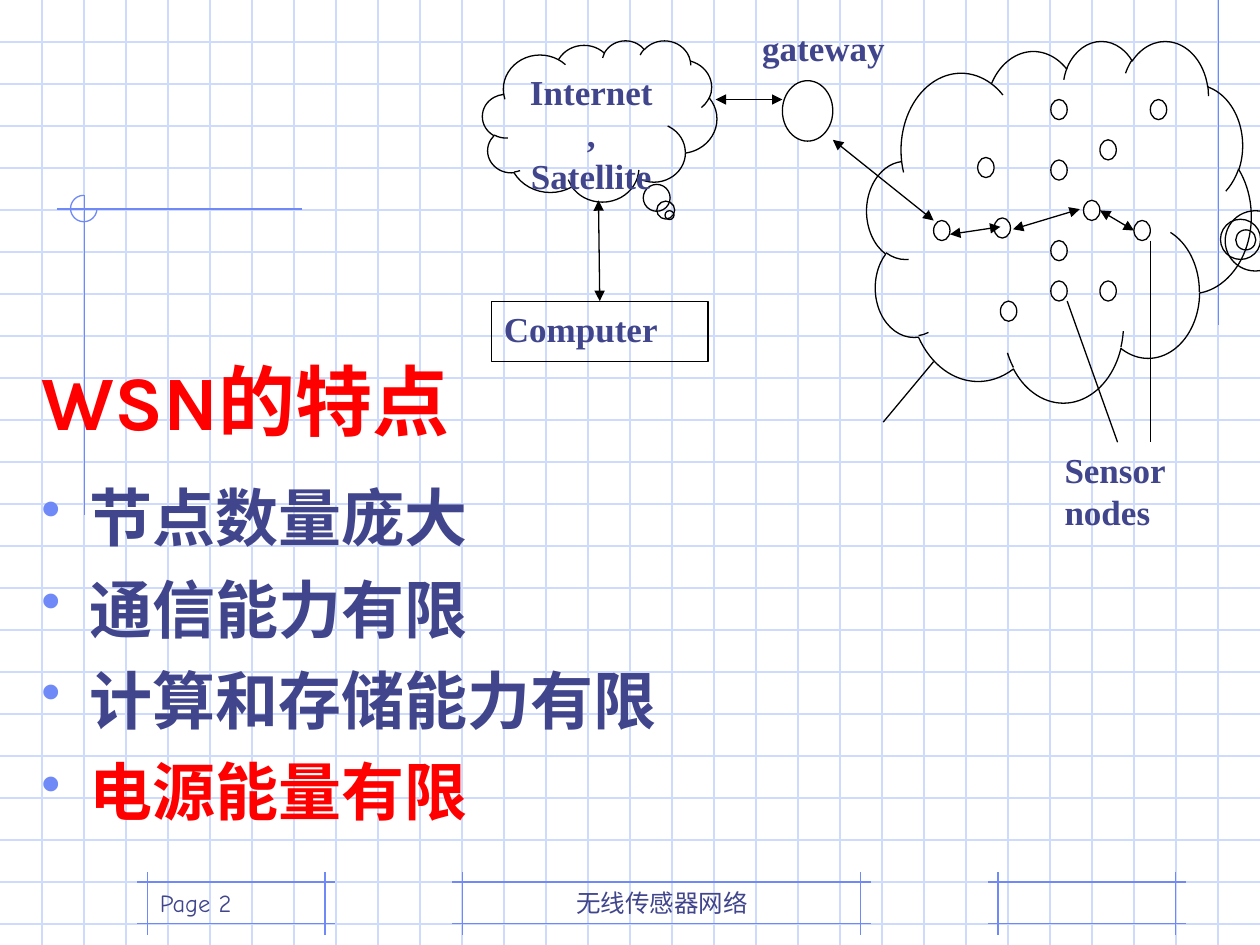
from dataclasses import dataclass

from lxml import etree
from pptx import Presentation
from pptx.dml.color import RGBColor
from pptx.enum.shapes import MSO_CONNECTOR, MSO_SHAPE
from pptx.enum.text import MSO_ANCHOR, MSO_AUTO_SIZE, PP_ALIGN
from pptx.oxml.ns import qn
from pptx.util import Inches, Pt

LINE = MSO_CONNECTOR.STRAIGHT
OVAL, RECT = MSO_SHAPE.OVAL, MSO_SHAPE.RECTANGLE
CLOUD, ARC = MSO_SHAPE.CLOUD_CALLOUT, MSO_SHAPE.ARC
TOP, BASE = MSO_ANCHOR.TOP, MSO_ANCHOR.BOTTOM
LEFT, MID, EVEN = PP_ALIGN.LEFT, PP_ALIGN.CENTER, PP_ALIGN.JUSTIFY
HEX = {"grid": "CFDBFD", "blue": "6F89F7", "ink": "40458C",
       "red": "FF0000", "black": "000000", "white": "FFFFFF"}


@dataclass
class Box:
    x: float
    y: float
    w: float
    h: float

    def lengths(self):
        return [Inches(v) for v in (self.x, self.y, self.w, self.h)]


@dataclass
class Style:
    face: str
    size: float
    color: str = "ink"
    bold: bool = True
    align: PP_ALIGN = LEFT


@dataclass
class Link:
    x1: float
    y1: float
    x2: float
    y2: float
    arrow: bool = False
    color: str = "black"


def tint(name: str) -> RGBColor:
    return RGBColor.from_string(HEX[name])


def draw_link(shapes, link: Link):
    ends = [Inches(v) for v in (link.x1, link.y1, link.x2, link.y2)]
    line = shapes.add_connector(LINE, *ends)
    line.line.color.rgb = tint(link.color)
    line.line.width = Pt(0.75)
    if link.arrow:
        pen = line.line._get_or_add_ln()
        for tag in ("a:headEnd", "a:tailEnd"):
            etree.SubElement(pen, qn(tag), type="triangle")
    etree.SubElement(line.element.spPr, qn("a:effectLst"))
    return line


def draw_shape(shapes, kind, box: Box, fill: str = "", color: str = "black"):
    shape = shapes.add_shape(kind, *box.lengths())
    shape.shadow.inherit = False
    if fill:
        shape.fill.solid()
        shape.fill.fore_color.rgb = tint(fill)
    else:
        shape.fill.background()
    shape.line.color.rgb = tint(color)
    shape.line.width = Pt(0.75)
    return shape


def set_font(para, style: Style):
    para.alignment = style.align
    font = para.font
    font.name, font.size, font.bold = style.face, Pt(style.size), style.bold
    font.color.rgb = tint(style.color)


def put_text(shape, text: str, style: Style, anchor=TOP):
    frame = shape.text_frame
    frame.word_wrap = True
    frame.auto_size = MSO_AUTO_SIZE.NONE
    frame.vertical_anchor = anchor
    frame.text = text
    set_font(frame.paragraphs[0], style)


def draw_text(shapes, box: Box, text: str, style: Style, anchor=TOP):
    put_text(shapes.add_textbox(*box.lengths()), text, style, anchor)


def add_bullet(para):
    props = para._p.get_or_add_pPr()
    props.set("marL", str(Inches(0.38)))
    props.set("indent", str(Inches(-0.38)))
    color = etree.SubElement(props, qn("a:buClr"))
    etree.SubElement(color, qn("a:srgbClr"), val=HEX["blue"])
    etree.SubElement(props, qn("a:buSzPct"), val="90000")
    etree.SubElement(props, qn("a:buChar"), char="•")


def draw_list(shapes, box: Box, items):
    frame = shapes.add_textbox(*box.lengths()).text_frame
    frame.word_wrap = True
    for i, (text, color) in enumerate(items):
        para = frame.add_paragraph() if i else frame.paragraphs[0]
        para.text = text
        if i:
            para.space_before = Pt(9)
        add_bullet(para)
        set_font(para, Style("Karla", 36, color))


def draw_back(shapes):
    for i in range(1, 23):
        draw_link(shapes, Link(0, i / 3, 10, i / 3, color="grid"))
    for i in range(1, 30):
        draw_link(shapes, Link(i / 3, 0, i / 3, 7.5, color="grid"))
    for left, right in ((3.67, 6.83), (7.92, 9.33), (1.17, 2.58)):
        for y in (7, 7.33):
            draw_link(shapes, Link(left - 0.08, y, right + 0.08, y, color="blue"))
        for x in (left, right):
            draw_link(shapes, Link(x, 6.92, x, 7.42, color="blue"))
    for ends in ((9.67, 0, 9.67, 2.58), (2.4, 1.66, 0.45, 1.66), (0.67, 1.55, 0.67, 4.09)):
        draw_link(shapes, Link(*ends, color="blue"))
    arc = draw_shape(shapes, ARC, Box(0.56, 1.55, 0.21, 0.21), color="blue")
    arc.adjustments[0] = 0
    arc.adjustments[1] = 162


def draw_cloud(shapes, box: Box, tail):
    cloud = draw_shape(shapes, CLOUD, box)
    for i, value in enumerate(tail):
        cloud.adjustments[i] = value
    return cloud


def draw_net(shapes):
    label = Style("Times New Roman", 20, align=EVEN)
    nodes = [(7.76, 1.25), (7.89, 1.73), (8.73, 1.11), (7.94, 2.39), (8.34, 1.27),
             (8.6, 1.59), (8.34, 0.79), (8.34, 2.23), (9, 1.75), (8.73, 2.23),
             (7.41, 1.75), (8.34, 1.91), (9.13, 0.79)]
    for x, y in nodes:
        draw_shape(shapes, OVAL, Box(x, y, 0.13, 0.16), "white")
    draw_shape(shapes, OVAL, Box(6.21, 0.64, 0.4, 0.48), "white")

    cloud = draw_cloud(shapes, Box(3.83, 0.32, 1.86, 1.28), (0.298, 0.584))
    put_text(cloud, "Internet, Satellite", Style("Times New Roman", 20, align=MID))
    draw_cloud(shapes, Box(6.88, 0.32, 3.05, 2.87), (0.486, 0.052))
    host = draw_shape(shapes, RECT, Box(3.9, 2.39, 1.72, 0.48))
    put_text(host, "Computer", label)
    draw_text(shapes, Box(5.95, 0.16, 1.32, 0.48), "gateway", label)
    draw_text(shapes, Box(8.35, 3.51, 1.65, 0.48), "Sensor nodes", label)

    down = draw_link(shapes, Link(4.75, 1.59, 4.76, 2.39, True))
    down.end_connect(host, 0)
    for ends in ((9, 1.83, 8.73, 1.67), (8.57, 1.66, 8.04, 1.82), (7.94, 1.8, 7.54, 1.86),
                 (7.41, 1.75, 6.61, 1.11), (5.68, 0.79, 6.21, 0.79)):
        draw_link(shapes, Link(*ends, arrow=True))
    for ends in ((7.41, 2.87, 7.01, 3.35), (8.47, 2.39, 8.87, 3.51), (9.13, 1.91, 9.13, 3.51)):
        draw_link(shapes, Link(*ends))


def main():
    deck = Presentation()
    deck.slide_width, deck.slide_height = Inches(10), Inches(7.5)
    slide = deck.slides.add_slide(deck.slide_layouts[5])
    shapes = slide.shapes
    draw_back(shapes)

    title = shapes.title
    title.left, title.top, title.width, title.height = Box(0.23, 2.34, 3.83, 1.25).lengths()
    put_text(title, "WSN的特点", Style("Karla", 44, "red"), BASE)
    title.element.getparent().append(title.element)

    draw_list(shapes, Box(0.23, 3.75, 5.86, 3.28), [
        ("节点数量庞大", "ink"), ("通信能力有限", "ink"),
        ("计算和存储能力有限", "ink"), ("电源能量有限", "red")])
    draw_text(shapes, Box(3.67, 6.83, 3.17, 0.5), "无线传感器网络",
              Style("Comic Neue", 14, bold=False, align=MID), BASE)
    draw_text(shapes, Box(1.17, 6.83, 2.08, 0.5), "Page 2",
              Style("Comic Neue", 14, bold=False), BASE)
    draw_net(shapes)
    deck.save("out.pptx")


if __name__ == "__main__":
    main()
